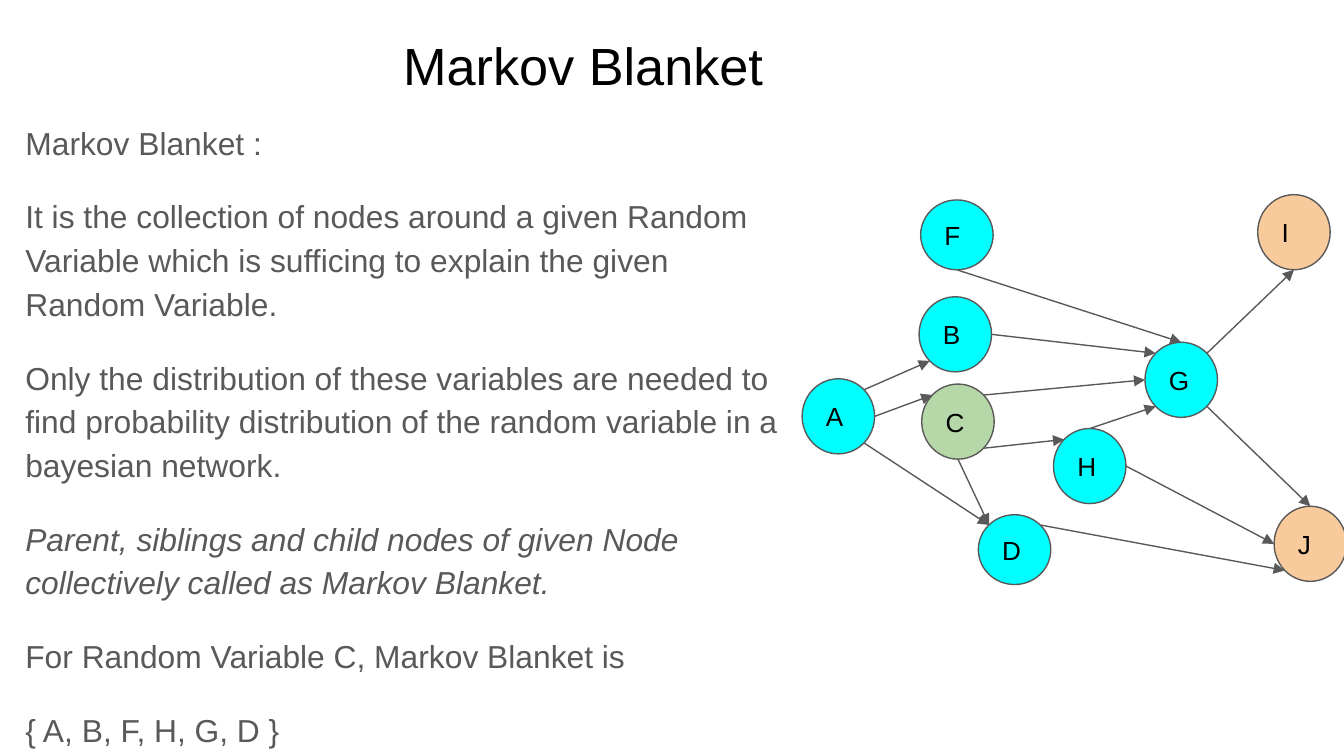
from dataclasses import dataclass
from math import cos, radians, sin

from lxml import etree
from pptx import Presentation
from pptx import util as u
from pptx.dml.color import RGBColor
from pptx.enum import shapes, text
from pptx.oxml import ns


@dataclass(frozen=True)
class Theme:
    font: str = "Arial"
    title_size: float = 28
    body_size: float = 17
    node_size: float = 14
    ink: str = "000000"
    grey: str = "595959"
    blanket: str = "00FFFF"
    given: str = "B6D7A8"
    outside: str = "F9CB9C"
    stroke: float = 0.75


THEME = Theme()
INSET = 0.25
NODE_WIDTH, NODE_HEIGHT, FLAT_HEIGHT = 1.37, 1.42, 1.32

EXPLANATION = [
    ("Markov Blanket :", False),
    ("It is the collection of nodes around a given Random Variable "
     "which is sufficing to explain the given Random Variable.", False),
    ("Only the distribution of these variables are needed to find probability "
     "distribution of the random variable in a bayesian network.", False),
    ("Parent, siblings and child nodes of given Node collectively called "
     "as Markov Blanket.", True),
    ("For Random Variable C, Markov Blanket is", False),
    ("{ A, B, F, H, G, D }", False),
]

NODES = {
    "J": (8.92, 5.89, NODE_HEIGHT, THEME.outside),
    "G": (6.48, 2.79, NODE_HEIGHT, THEME.blanket),
    "H": (4.75, 4.42, NODE_HEIGHT, THEME.blanket),
    "I": (8.61, 0, NODE_HEIGHT, THEME.outside),
    "B": (2.21, 1.93, NODE_HEIGHT, THEME.blanket),
    "C": (2.26, 3.58, NODE_HEIGHT, THEME.given),
    "F": (2.24, 0.1, FLAT_HEIGHT, THEME.blanket),
    "A": (0, 3.48, NODE_HEIGHT, THEME.blanket),
    "D": (3.33, 6.05, FLAT_HEIGHT, THEME.blanket),
}

ANGLES = {"e": 0, "se": 45, "s": 90, "sw": 135, "w": 180, "nw": 225, "n": 270, "ne": 315}

EDGES = [
    ("F", "s", "G", "n"), ("B", "e", "G", "nw"), ("G", "ne", "I", "s"),
    ("G", "se", "J", "n"), ("H", "n", "G", "sw"), ("H", "e", "J", "w"),
    ("D", "ne", "J", "sw"), ("C", "ne", "G", "w"), ("C", "s", "D", "nw"),
    ("C", "se", "H", "nw"), ("A", "se", "D", "nw"), ("A", "e", "C", "nw"),
    ("A", "ne", "B", "sw"),
]


def apply(target, values):
    for name, value in values.items():
        setattr(target, name, value)


def set_frame(frame, anchor, right=INSET):
    apply(frame, {
        "word_wrap": True, "vertical_anchor": anchor,
        "margin_left": u.Cm(INSET), "margin_right": u.Cm(right),
        "margin_top": u.Cm(INSET), "margin_bottom": u.Cm(INSET),
    })


def write(paragraph, words, size, color, layout, italic=False):
    run = paragraph.add_run()
    run.text = words
    apply(run.font, {"name": THEME.font, "size": u.Pt(size), "italic": italic})
    run.font.color.rgb = RGBColor.from_string(color)
    apply(paragraph, layout)


def add_title(slide, box, right_inset):
    frame = slide.shapes.add_textbox(*map(u.Cm, box)).text_frame
    set_frame(frame, text.MSO_ANCHOR.TOP, right_inset)
    write(frame.paragraphs[0], "Markov Blanket", THEME.title_size, THEME.ink,
          {"alignment": text.PP_ALIGN.CENTER})


def add_explanation(slide, box):
    frame = slide.shapes.add_textbox(*map(u.Cm, box)).text_frame
    set_frame(frame, text.MSO_ANCHOR.TOP)
    for index, (words, italic) in enumerate(EXPLANATION):
        paragraph = frame.add_paragraph() if index else frame.paragraphs[0]
        write(paragraph, words, THEME.body_size, THEME.grey,
              {"line_spacing": 1.15, "space_before": u.Pt(16 if index else 0)}, italic)


def style_line(line):
    line.width = u.Pt(THEME.stroke)
    line.color.rgb = RGBColor.from_string(THEME.grey)


def add_node(slide, box, letter, fill):
    node = slide.shapes.add_shape(shapes.MSO_SHAPE.OVAL, *map(u.Cm, box))
    node.shadow.inherit = False
    node.fill.solid()
    node.fill.fore_color.rgb = RGBColor.from_string(fill)
    style_line(node.line)
    set_frame(node.text_frame, text.MSO_ANCHOR.MIDDLE)
    write(node.text_frame.paragraphs[0], letter, THEME.node_size, THEME.ink,
          {"alignment": text.PP_ALIGN.LEFT})


def rim_point(box, side):
    left, top, width, height = box
    angle = radians(ANGLES[side])
    return left + width / 2 * (1 + cos(angle)), top + height / 2 * (1 + sin(angle))


def add_edge(slide, start, end):
    edge = slide.shapes.add_connector(
        shapes.MSO_CONNECTOR.STRAIGHT, *map(u.Cm, (*start, *end)))
    style_line(edge.line)
    etree.SubElement(edge.line._get_or_add_ln(), ns.qn("a:tailEnd"), type="triangle")
    etree.SubElement(edge._element.spPr, ns.qn("a:effectLst"))


def add_network(slide, left, top):
    boxes = {}
    for letter, (x, y, height, fill) in NODES.items():
        boxes[letter] = (left + x, top + y, NODE_WIDTH, height)
        add_node(slide, boxes[letter], letter, fill)
    for source, exit_side, target, entry_side in EDGES:
        add_edge(slide, rim_point(boxes[source], exit_side),
                 rim_point(boxes[target], entry_side))


def main():
    deck = Presentation()
    deck.slide_width, deck.slide_height = u.Cm(25.4), u.Cm(14.29)
    slide = deck.slides.add_slide(deck.slide_layouts[6])
    add_title(slide, (0.86, 0.38, 23.67, 1.6), 3.6)
    add_explanation(slide, (0.23, 1.98, 15.11, 10.72))
    add_network(slide, 15.16, 3.68)
    deck.save("out.pptx")


if __name__ == "__main__":
    main()
